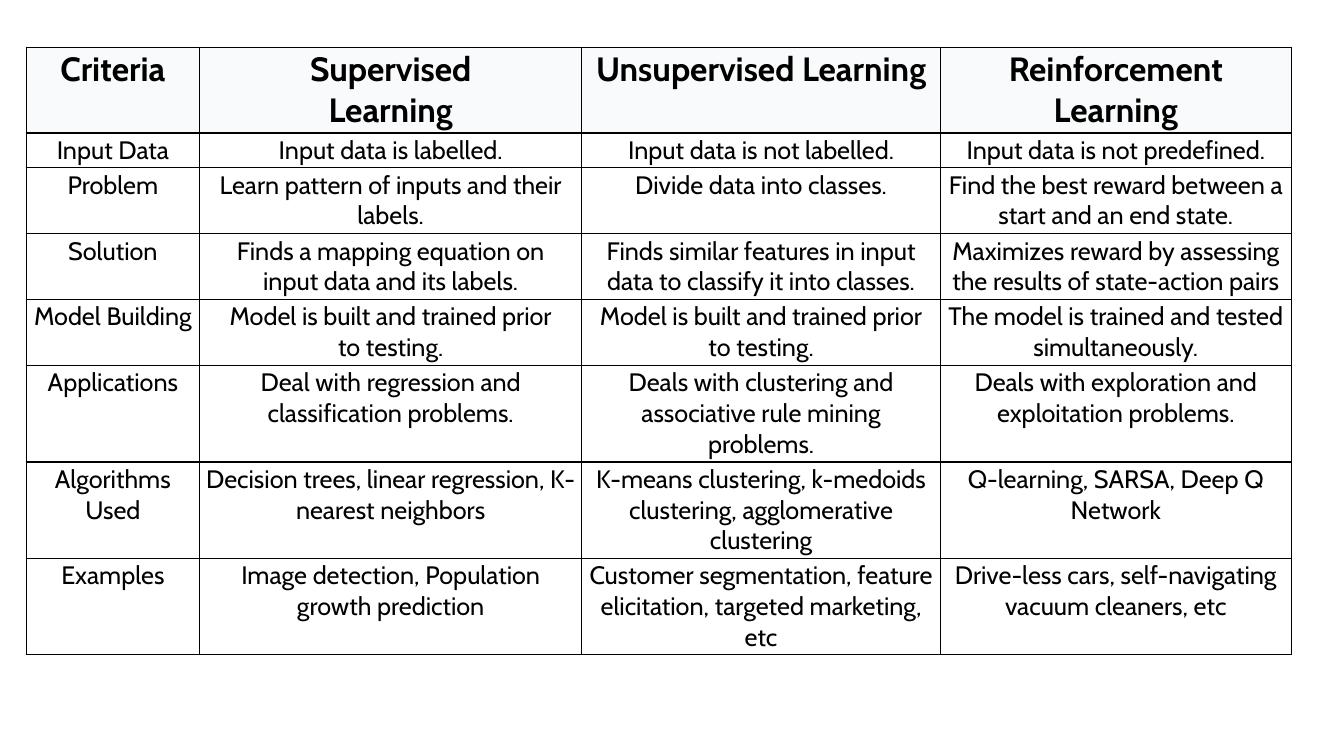
"""Build a slide with a table comparing three kinds of machine learning."""
from lxml import etree
from pptx import Presentation
from pptx.dml.color import RGBColor
from pptx.enum.text import MSO_ANCHOR, PP_ALIGN
from pptx.oxml.ns import qn
from pptx.util import Cm, Pt

HEADER = ["Criteria", "Supervised\nLearning", "Unsupervised Learning", "Reinforcement Learning"]
CRITERIA = [
    ["Input Data", "Input data is labelled.", "Input data is not labelled.",
     "Input data is not predefined."],
    ["Problem", "Learn pattern of inputs and their labels.", "Divide data into classes.",
     "Find the best reward between a start and an end state."],
    ["Solution", "Finds a mapping equation on\ninput data and its labels.",
     "Finds similar features in input data to classify it into classes.",
     "Maximizes reward by assessing the results of state-action pairs"],
    ["Model Building", "Model is built and trained prior\nto testing.",
     "Model is built and trained prior\nto testing.",
     "The model is trained and tested simultaneously."],
    ["Applications", "Deal with regression and classification problems.",
     "Deals with clustering and associative rule mining problems.",
     "Deals with exploration and exploitation problems."],
    ["Algorithms Used", "Decision trees, linear regression, K-nearest neighbors",
     "K-means clustering, k-medoids clustering, agglomerative clustering",
     "Q-learning, SARSA, Deep Q Network"],
    ["Examples", "Image detection, Population growth prediction",
     "Customer segmentation, feature elicitation, targeted marketing, etc",
     "Drive-less cars, self-navigating vacuum cleaners, etc"],
]
COLUMN_WIDTHS = [4.37, 9.63, 9.04, 8.84]
ROW_HEIGHTS = [2.16, 0.88] + [1.66] * 3 + [2.43] * 3
TABLE_LEFT, TABLE_TOP = 0.66, 1.19

FONT = "Cabin"
BLACK = RGBColor(0x00, 0x00, 0x00)
WHITE = RGBColor(0xFF, 0xFF, 0xFF)
HEADER_GREY = RGBColor(0xF9, 0xFA, 0xFB)
CENTER = PP_ALIGN.CENTER
TOP = MSO_ANCHOR.TOP


def add_borders(cell):
    """Draw a thin black line on each side of a cell."""
    properties = cell._tc.get_or_add_tcPr()
    for side in ("a:lnL", "a:lnR", "a:lnT", "a:lnB"):
        line = etree.SubElement(properties, qn(side), w=str(Pt(1)))
        fill = etree.SubElement(line, qn("a:solidFill"))
        etree.SubElement(fill, qn("a:srgbClr"), val=str(BLACK))


def fill_cell(cell, text, size, bold, background):
    """Write centred text into a cell and format the cell."""
    add_borders(cell)
    cell.fill.solid()
    cell.fill.fore_color.rgb = background
    cell.margin_left = cell.margin_right = Cm(0.1)
    cell.margin_top = cell.margin_bottom = Cm(0.05)
    cell.vertical_anchor = TOP
    frame = cell.text_frame
    for index, line in enumerate(text.split("\n")):
        paragraph = frame.add_paragraph() if index else frame.paragraphs[0]
        paragraph.alignment = CENTER
        run = paragraph.add_run()
        run.text = line
        run.font.name = FONT
        run.font.size = Pt(size)
        run.font.bold = bold
        run.font.color.rgb = BLACK


def main():
    """Create the presentation and save it."""
    presentation = Presentation()
    presentation.slide_width = Cm(33.87)
    presentation.slide_height = Cm(19.05)
    slide = presentation.slides.add_slide(presentation.slide_layouts[6])

    rows = [HEADER] + CRITERIA
    table = slide.shapes.add_table(
        len(rows), len(HEADER), Cm(TABLE_LEFT), Cm(TABLE_TOP),
        Cm(sum(COLUMN_WIDTHS)), Cm(sum(ROW_HEIGHTS))).table
    table.horz_banding = False
    for column, width in zip(table.columns, COLUMN_WIDTHS):
        column.width = Cm(width)
    for row, height in zip(table.rows, ROW_HEIGHTS):
        row.height = Cm(height)

    for row_index, texts in enumerate(rows):
        is_header = row_index == 0
        size = 24 if is_header else 18
        background = HEADER_GREY if is_header else WHITE
        for column_index, text in enumerate(texts):
            fill_cell(table.cell(row_index, column_index), text, size, is_header, background)

    presentation.save("out.pptx")


if __name__ == "__main__":
    main()
